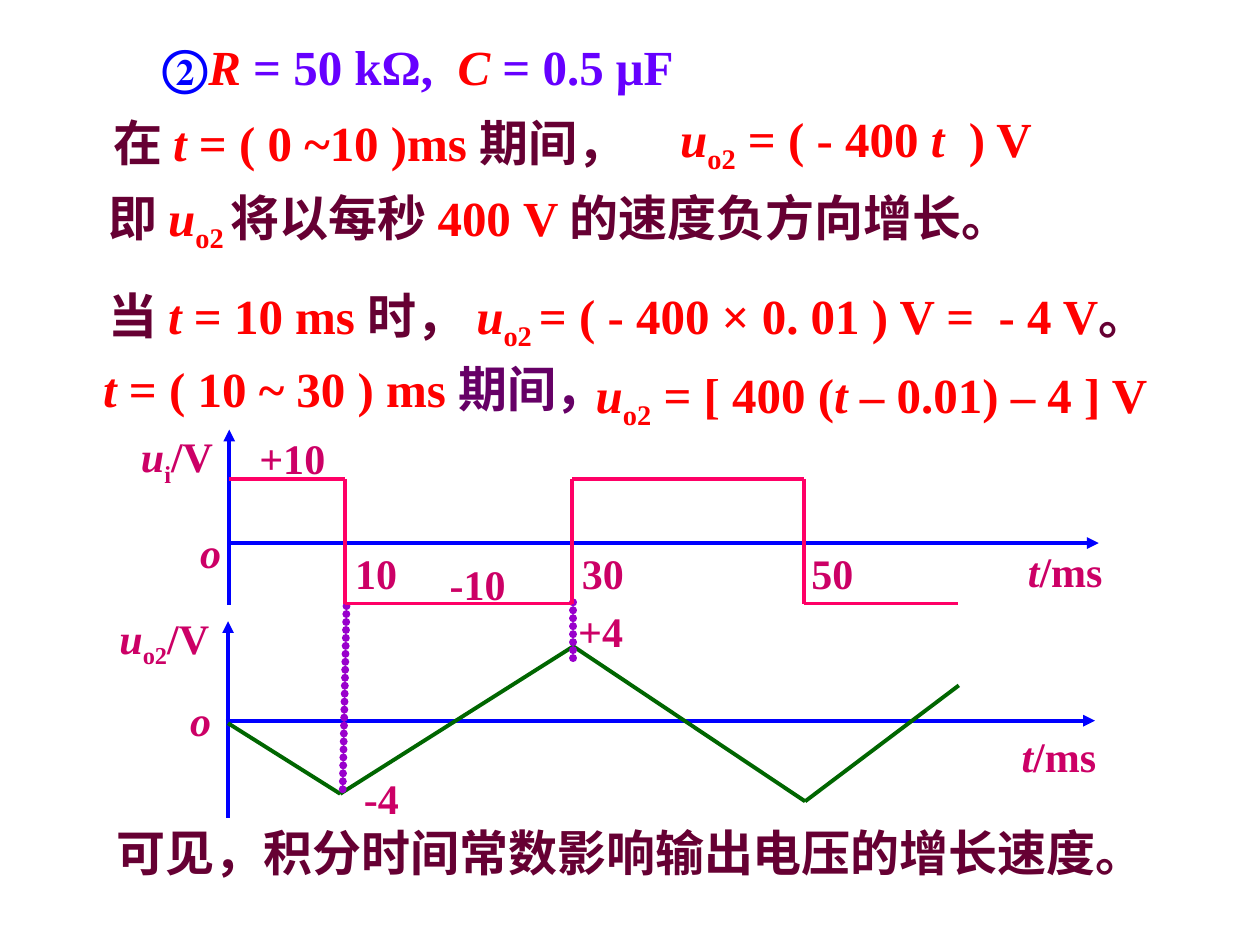
from lxml import etree
from pptx import Presentation
from pptx.dml.color import RGBColor
from pptx.enum.shapes import MSO_CONNECTOR
from pptx.enum.text import MSO_ANCHOR, MSO_AUTO_SIZE, PP_ALIGN
from pptx.oxml.ns import qn
from pptx.util import Inches, Pt

STRAIGHT = MSO_CONNECTOR.STRAIGHT
LEFT, TOP = PP_ALIGN.LEFT, MSO_ANCHOR.TOP
FIT_SHAPE, NO_FIT = MSO_AUTO_SIZE.SHAPE_TO_FIT_TEXT, MSO_AUTO_SIZE.NONE

FONT = "Times New Roman"
TITLE_ONLY_LAYOUT = 5
RED, MAROON, PURPLE, VIOLET = "FF0000", "660033", "660066", "6600FF"
BLUE, LABEL, SQUARE, TRIANGLE, GUIDE = "0000FF", "CC0066", "FF0066", "006600", "9900CC"
PLAIN, ITALIC, SUB = "plain", "italic", "sub"


def color(value):
    return RGBColor.from_string(value)


def write_runs(paragraph, runs, size):
    """Fill a paragraph from (text, colour, style) triples."""
    for text, run_color, style in runs:
        run = paragraph.add_run()
        run.text = text
        run.font.color.rgb = color(run_color)
        run.font.italic = style == ITALIC
        if style == SUB:
            run.font._element.set("baseline", "-25000")
    paragraph.alignment = LEFT
    paragraph.font.name = FONT
    paragraph.font.size = Pt(size)
    paragraph.font.bold = True


def add_title(slide, runs, left, top, width, height):
    title = slide.shapes.title
    title.left, title.top = Inches(left), Inches(top)
    title.width, title.height = Inches(width), Inches(height)
    frame = title.text_frame
    frame.auto_size = NO_FIT
    frame.vertical_anchor = TOP
    write_runs(frame.paragraphs[0], runs, 28)


def add_text(slide, paragraphs, left, top, width, height=0.57, size=28):
    box = slide.shapes.add_textbox(Inches(left), Inches(top), Inches(width), Inches(height))
    frame = box.text_frame
    frame.word_wrap = True
    frame.auto_size = FIT_SHAPE
    for index, runs in enumerate(paragraphs):
        paragraph = frame.add_paragraph() if index else frame.paragraphs[0]
        if index:
            paragraph.space_before = Pt(17.5)
        write_runs(paragraph, runs, size)


def add_label(slide, parts, left, top, width, height=0.5):
    runs = [(text, LABEL, style) for text, style in parts]
    add_text(slide, [runs], left, top, width, height, size=24)


def add_line(slide, start, end, line_color, width=2.25):
    line = slide.shapes.add_connector(STRAIGHT, *(Inches(value) for value in start + end))
    line.line.color.rgb = color(line_color)
    line.line.width = Pt(width)
    etree.SubElement(line._element.spPr, qn("a:effectLst"))
    return line


def add_axis(slide, start, end):
    outline = add_line(slide, start, end, BLUE).line._get_or_add_ln()
    etree.SubElement(outline, qn("a:tailEnd"), type="triangle")


def add_dotted_guide(slide, start, end):
    """Draw a guide of touching round dots."""
    outline = add_line(slide, start, end, GUIDE, 4.5).line._get_or_add_ln()
    outline.set("cap", "rnd")
    dash = etree.SubElement(outline, qn("a:custDash"))
    etree.SubElement(dash, qn("a:ds"), d="1000", sp="100000")


def add_waveform(slide, points, line_color):
    for start, end in zip(points, points[1:]):
        add_line(slide, start, end, line_color)


def add_derivation(slide):
    add_title(slide, [("②", BLUE, PLAIN), ("R", RED, ITALIC), (" = 50 kΩ,  ", VIOLET, PLAIN),
                      ("C", RED, ITALIC), (" = 0.5 μF", VIOLET, PLAIN)], 1.19, 0.24, 6.58, 0.57)
    output = [("u", RED, ITALIC), ("o2", RED, SUB)]
    add_text(slide, [[("在 ", MAROON, PLAIN), ("t", RED, ITALIC),
                      (" = ( 0 ~10 )ms ", RED, PLAIN), ("期间，", MAROON, PLAIN)]],
             0.8, 0.84, 4.86)
    add_text(slide, [output + [(" = ( - 400 ", RED, PLAIN), ("t  ", RED, ITALIC),
                               (") V", RED, PLAIN)]], 5.3, 0.81, 4, 0.63)
    output_spaced = [("u", RED, ITALIC), ("o2 ", RED, SUB)]
    speed = [("即 ", MAROON, PLAIN), *output_spaced, ("将以每秒 ", MAROON, PLAIN),
             ("400 V ", RED, PLAIN), ("的速度负方向增长。", MAROON, PLAIN)]
    value = [("当 ", MAROON, PLAIN), ("t ", RED, ITALIC), ("= 10 ms ", RED, PLAIN),
             ("时， ", MAROON, PLAIN), *output_spaced,
             ("= ( - 400 × 0. 01 ) V =  - 4 V", RED, PLAIN), ("。", MAROON, PLAIN)]
    add_text(slide, [speed, value], 0.76, 1.44, 9.24, 1.87)
    add_text(slide, [[("t", RED, ITALIC), (" = ( 10 ~ 30 ) ms ", RED, PLAIN),
                      ("期间，", PURPLE, PLAIN)]], 0.72, 2.8, 5.08)
    add_text(slide, [output + [(" = [ 400 (", RED, PLAIN), ("t", RED, ITALIC),
                               (" – 0.01) – 4 ] V", RED, PLAIN)]], 4.63, 2.84, 5.3, 0.63)
    add_text(slide, [[("可见，积分时间常数影响输出电压的增长速度。", MAROON, PLAIN)]],
             0.83, 6.48, 9.17)


def add_output_plot(slide):
    add_axis(slide, (1.79, 5.72), (8.69, 5.72))
    add_axis(slide, (1.81, 6.49), (1.81, 4.93))
    add_waveform(slide, [(1.81, 5.74), (2.7, 6.3), (4.55, 5.13), (6.39, 6.36), (7.61, 5.44)],
                 TRIANGLE)
    add_label(slide, [("u", ITALIC), ("o2", SUB), ("/V", PLAIN)], 0.85, 4.81, 1, 0.56)
    add_label(slide, [("o", ITALIC)], 1.41, 5.46, 0.42)
    add_label(slide, [("t", ITALIC), ("/ms", PLAIN)], 8.01, 5.75, 0.9)
    add_label(slide, [("+4", PLAIN)], 4.49, 4.76, 0.65)
    add_label(slide, [("-4", PLAIN)], 2.79, 6.08, 0.58)
    add_dotted_guide(slide, (2.75, 4.81), (2.72, 6.27))
    add_dotted_guide(slide, (4.55, 4.78), (4.55, 5.24))


def add_input_plot(slide):
    high, low = 3.8, 4.79
    add_axis(slide, (1.82, 4.31), (8.72, 4.31))
    add_axis(slide, (1.82, 4.8), (1.82, 3.41))
    add_waveform(slide, [(1.82, high), (2.74, high), (2.74, low), (4.54, low), (4.54, high),
                         (6.38, high), (6.38, low), (7.6, low)], SQUARE)
    add_label(slide, [("u", ITALIC), ("i", SUB), ("/V", PLAIN)], 1.02, 3.37, 0.85, 0.56)
    add_label(slide, [("o", ITALIC)], 1.49, 4.13, 0.42)
    add_label(slide, [("t", ITALIC), ("/ms", PLAIN)], 8.06, 4.28, 0.9)
    add_label(slide, [("+10", PLAIN)], 1.96, 3.38, 0.82)
    add_label(slide, [("-10", PLAIN)], 3.47, 4.38, 0.74)
    for time, left in (("10", 2.72), ("30", 4.52), ("50", 6.34)):
        add_label(slide, [(time, PLAIN)], left, 4.3, 0.62)


def main():
    presentation = Presentation()
    presentation.slide_width, presentation.slide_height = Inches(10), Inches(7.5)
    slide = presentation.slides.add_slide(presentation.slide_layouts[TITLE_ONLY_LAYOUT])
    add_derivation(slide)
    add_output_plot(slide)
    add_input_plot(slide)
    presentation.save("out.pptx")


if __name__ == "__main__":
    main()
